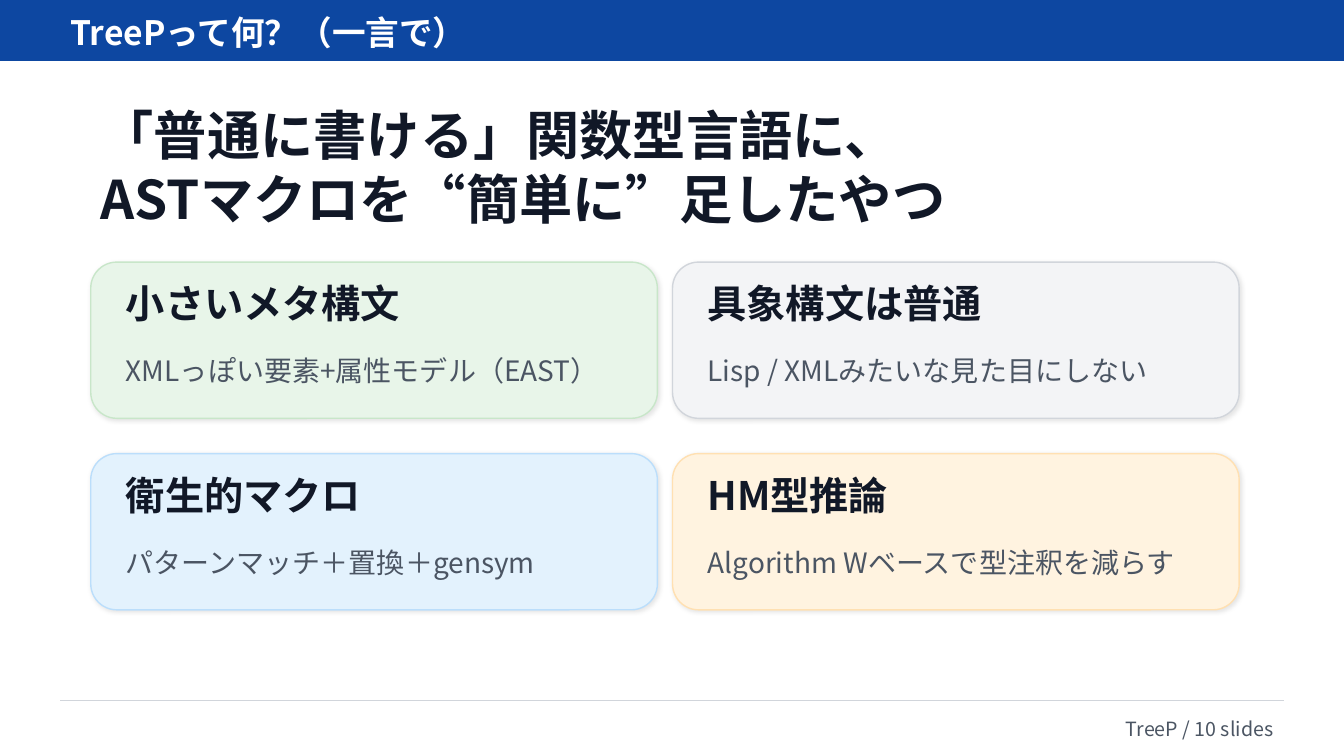
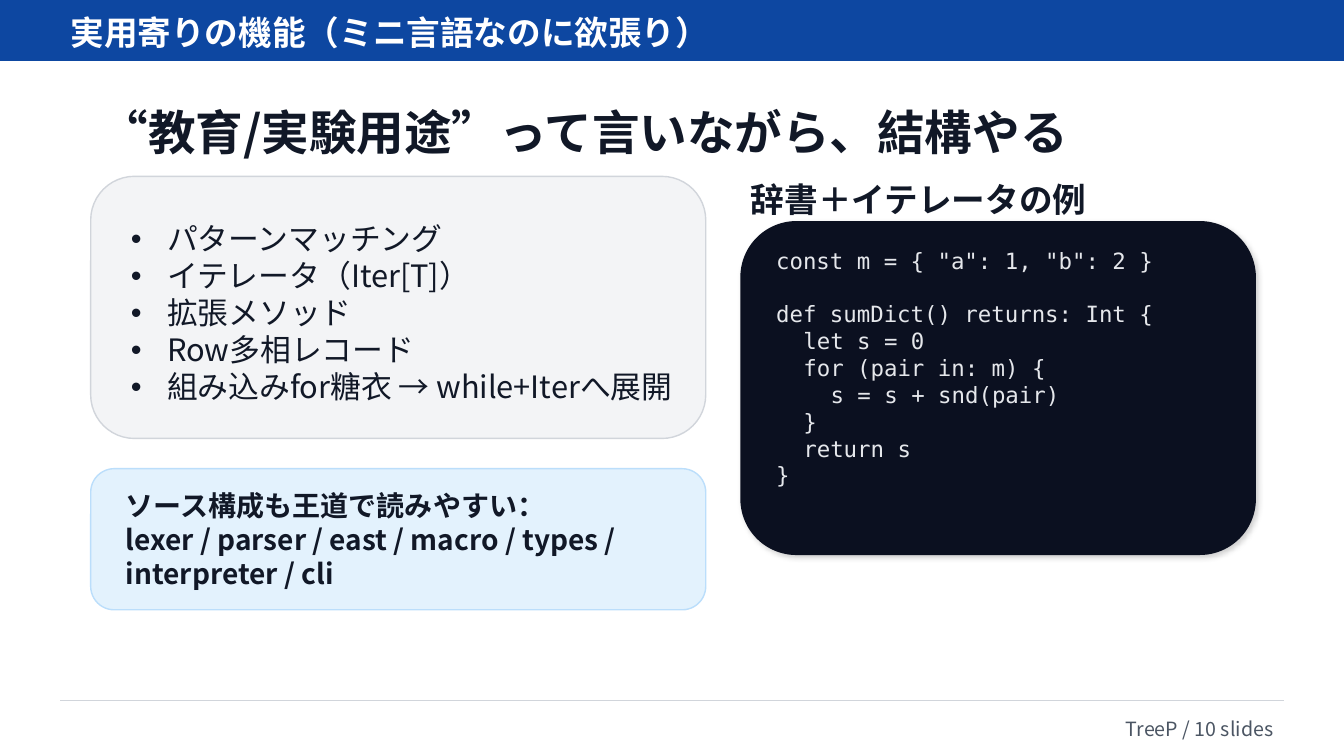
from lxml.etree import SubElement
from pptx import Presentation
from pptx.dml.color import RGBColor
from pptx.enum.shapes import MSO_CONNECTOR as Link, MSO_SHAPE as Shape
from pptx.enum.text import MSO_ANCHOR as Anchor, MSO_AUTO_SIZE as Fit, PP_ALIGN as Align
from pptx.oxml.ns import qn
from pptx.util import Pt

SCALE = 9144  # EMU per px, 100 px to the inch
WIDE, HIGH = 1333, 750
SANS, MONO = "Noto Sans CJK JP", "DejaVu Sans Mono"
BLUE, WHITE, INK, GREY, RULE = "0D47A1", "FFFFFF", "111827", "4B5563", "D1D5DB"
NIGHT, PALE = "0B1020", "E5E7EB"
GREEN_BOX = ("E8F5E9", "C8E6C9")
GREY_BOX = ("F3F4F6", RULE)
BLUE_BOX = ("E3F2FD", "BBDEFB")
AMBER_BOX = ("FFF3E0", "FFE0B2")
SOFT = (10, 3, 1)  # opacity in percent, blur and distance in points
DEEP = (18, 4, 2)


def px(*nums):
    return [n * SCALE for n in nums]


def hue(code):
    return RGBColor.from_string(code)


def add(node, tag, **attrs):
    return SubElement(node, qn(tag), {k: str(v) for k, v in attrs.items()})


def write(frame, text, size=20, color=INK, bold=False, font=SANS,
          align=Align.LEFT, anchor=Anchor.MIDDLE, bullet=False, step=0, gap=0):
    """Write one paragraph per line.

    A step turns leading pairs of spaces into indents of that many px;
    a gap turns each blank line into that many points of space.
    """
    frame.word_wrap = True
    frame.auto_size = Fit.NONE
    frame.vertical_anchor = anchor
    (frame.margin_left, frame.margin_top,
     frame.margin_right, frame.margin_bottom) = px(10, 5, 10, 5)
    space = 0
    first = True
    for line in text.split("\n"):
        if not line:
            space = gap
            continue
        para = frame.paragraphs[0] if first else frame.add_paragraph()
        first = False
        para.alignment = align
        para.space_before, space = Pt(space), 0
        bare = line.lstrip()
        props = para._p.get_or_add_pPr()
        if step:
            props.set("marL", str((len(line) - len(bare)) // 2 * step * SCALE))
        if bullet:
            props.set("marL", str(36 * SCALE))
            props.set("indent", str(-36 * SCALE))
            add(add(props, "a:buClr"), "a:srgbClr", val=color)
            add(props, "a:buFont", typeface="Arial")
            add(props, "a:buChar", char="•")
        run = para.add_run()
        run.text = bare
        run.font.name, run.font.size, run.font.bold = font, Pt(size), bold
        run.font.color.rgb = hue(color)
        add(run.font._element, "a:ea", typeface=font)


class Deck:
    def __init__(self):
        self.prs = Presentation()
        self.prs.slide_width, self.prs.slide_height = px(WIDE, HIGH)

    def page(self, title, lead, size, high):
        """Start a slide with its band, title, lead and footer."""
        self.slide = self.prs.slides.add_slide(self.prs.slide_layouts[5])
        self.slide.background.fill.solid()
        self.slide.background.fill.fore_color.rgb = hue(WHITE)
        head = self.slide.shapes.title
        head.left, head.top, head.width, head.height = px(60, 12, 1133, 40)
        write(head.text_frame, title, size=24, color=WHITE, bold=True)
        band = self.box(0, 0, WIDE, 60, (BLUE, BLUE), kind=Shape.RECTANGLE)
        head.element.addprevious(band.element)
        self.text(90, 100, 1200, high, lead, size=size, bold=True)
        self.rule(60, 695, 1273)
        self.text(60, 705, 1213, 35, "TreeP / 10 slides",
                  size=14, color=GREY, align=Align.RIGHT)

    def box(self, x, y, w, h, tone, shade=None, kind=Shape.ROUNDED_RECTANGLE):
        shape = self.slide.shapes.add_shape(kind, *px(x, y, w, h))
        fill, edge = tone
        shape.fill.solid()
        shape.fill.fore_color.rgb = hue(fill)
        shape.line.color.rgb = hue(edge)
        shape.line.width = Pt(1)
        shape.shadow.inherit = False
        if shade:
            alpha, blur, dist = shade
            glow = add(shape.element.spPr.find(qn("a:effectLst")), "a:outerShdw",
                       blurRad=Pt(blur), dist=Pt(dist), dir=45 * 60000,
                       algn="tl", rotWithShape=0)
            ink = add(glow, "a:srgbClr", val="000000")
            add(ink, "a:alpha", val=alpha * 1000)
        return shape

    def text(self, x, y, w, h, text, **style):
        area = self.slide.shapes.add_textbox(*px(x, y, w, h))
        write(area.text_frame, text, **style)

    def rule(self, x, y, end):
        line = self.slide.shapes.add_connector(Link.STRAIGHT, *px(x, y, end, y))
        line.line.color.rgb = hue(RULE)
        line.line.width = Pt(1)
        add(line.element.spPr, "a:effectLst")

    def card(self, x, y, tone, head, note):
        self.box(x, y, 562, 155, tone, SOFT)
        self.text(x + 25, y + 18, 512, 45, head, size=28, bold=True)
        self.text(x + 25, y + 70, 512, 75, note, color=GREY)

    def save(self):
        self.prs.save("out.pptx")


CARDS = [
    (GREEN_BOX, "小さいメタ構文", "XMLっぽい要素+属性モデル（EAST）"),
    (GREY_BOX, "具象構文は普通", "Lisp / XMLみたいな見た目にしない"),
    (BLUE_BOX, "衛生的マクロ", "パターンマッチ＋置換＋gensym"),
    (AMBER_BOX, "HM型推論", "Algorithm Wベースで型注釈を減らす"),
]

TRAITS = """パターンマッチング
イテレータ（Iter[T]）
拡張メソッド
Row多相レコード
組み込みfor糖衣 → while+Iterへ展開"""

CODE = """const m = { "a": 1, "b": 2 }

def sumDict() returns: Int {
  let s = 0
  for (pair in: m) {
    s = s + snd(pair)
  }
  return s
}"""

LAYOUT = """ソース構成も王道で読みやすい：
lexer / parser / east / macro / types / interpreter / cli"""


def intro(deck):
    deck.page("TreePって何？（一言で）",
              "「普通に書ける」関数型言語に、\nASTマクロを“簡単に”足したやつ", 38, 130)
    for i, card in enumerate(CARDS):
        row, col = divmod(i, 2)
        deck.card(90 + col * 577, 260 + row * 190, *card)


def traits(deck):
    deck.page("実用寄りの機能（ミニ言語なのに欲張り）",
              "“教育/実験用途”って言いながら、結構やる", 34, 60)
    deck.box(90, 175, 610, 260, GREY_BOX)
    deck.text(120, 200, 560, 220, TRAITS, size=22, bullet=True)
    deck.text(735, 175, 510, 45, "辞書＋イテレータの例", size=24, bold=True)
    deck.box(735, 220, 510, 330, (NIGHT, NIGHT), DEEP)
    deck.text(760, 240, 460, 290, CODE, size=16, color=PALE, font=MONO,
              anchor=Anchor.TOP, step=27, gap=19)
    deck.box(90, 465, 610, 140, BLUE_BOX)
    deck.text(115, 485, 560, 100, LAYOUT, bold=True)


def main():
    deck = Deck()
    intro(deck)
    traits(deck)
    deck.save()


if __name__ == "__main__":
    main()
